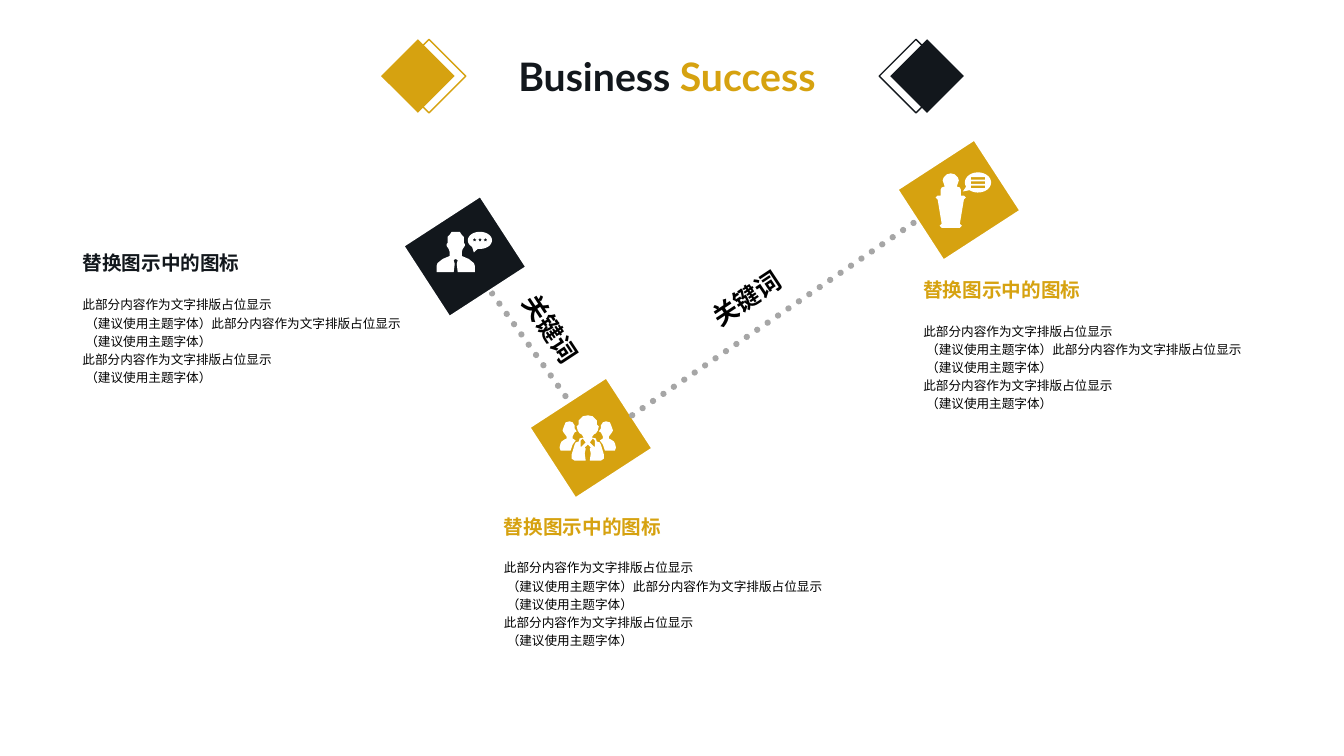
from math import cos, radians, sin

from lxml import etree
from pptx import Presentation
from pptx.dml.color import RGBColor
from pptx.enum import dml, shapes, text
from pptx.oxml.ns import qn
from pptx.util import Inches, Pt

# Theme
THEME = {
    "dark": "12171C", "gold": "D6A210", "dots": "A6A6A6", "white": "FFFFFF", "black": "000000",
    "latin": "Lato", "cjk": "Noto Sans CJK SC",
    "title": 28, "label": 18, "heading": 14, "body": 9,
}

# Content
TITLE = [("Business ", "dark"), ("Success", "gold")]
HEADING = "替换图示中的图标"
BODY = [
    ["此部分内容作为文字排版占位显示",
     " （建议使用主题字体）此部分内容作为文字排版占位显示",
     " （建议使用主题字体）"],
    ["此部分内容作为文字排版占位显示", " （建议使用主题字体）"],
]
KEYWORD = "关键词"
# link: (x1, y1, x2, y2), drawn beneath its node; label: (left, top, rotation)
NODES = [
    {"icon": "adviser", "color": "dark", "square": (4.19, 2.09), "text": (0.72, 2.35),
     "link": (4.88, 2.91, 5.63, 3.96), "label": (4.96, 2.99, 56.6)},
    {"icon": "team", "color": "gold", "square": (5.44, 3.89), "text": (4.9, 4.96)},
    {"icon": "speaker", "color": "gold", "square": (9.09, 1.53), "text": (9.06, 2.61),
     "link": (6.27, 4.12, 9.18, 2.13), "label": (6.9, 2.69, 326.5)},
]
# (filled left, outlined left, colour)
TITLE_DIAMONDS = [(3.78, 3.89, "gold"), (8.83, 8.72, "dark")]


# Icon outlines, in hundredths of an inch
def mirror(points, axis):
    return [(2 * axis - x, y) for x, y in reversed(points)]


def symmetric(half, axis):
    return half + mirror(half, axis)


def arc(cx, cy, rx, ry, start, sweep, steps=36):
    angles = [radians(start + sweep * i / steps) for i in range(steps + 1)]
    return [(cx + rx * cos(a), cy + ry * sin(a)) for a in angles]


def star(cx, cy):
    angles = [radians(36 * i - 90) for i in range(10)]
    return [(cx + (2.2, 1)[i % 2] * cos(a), cy + (2.2, 1)[i % 2] * sin(a))
            for i, a in enumerate(angles)]


def bar(left, top, width, height):
    return [(left, top), (left + width, top),
            (left + width, top + height), (left, top + height)]


ADVISER = [(452, 230), (456, 230), (458, 233), (460, 235), (460, 241), (461, 242), (461, 244),
           (459, 247), (458, 250), (458, 254), (465, 257), (470, 261), (471, 264), (471, 270),
           (454, 270), (453, 262), (454, 258), (452, 257)]
LEADER = [(583, 412), (588, 413), (592, 417), (592, 421), (594, 423), (593, 427), (591, 430),
          (589, 431), (587, 434), (591, 435), (592, 438), (595, 439), (596, 441), (599, 451),
          (599, 455), (596, 457), (585, 457), (586, 450), (585, 445), (586, 444), (583, 441)]
COLLAR = [(588, 435), (585, 439), (589, 443), (590, 443), (590, 437)]
MEMBER = [(601, 418), (605, 419), (607, 424), (608, 427), (607, 429), (604, 433), (604, 435),
          (606, 436), (609, 438), (610, 440), (611, 444), (610, 447), (600, 447), (598, 441),
          (595, 437), (598, 435), (598, 433), (596, 429), (594, 428), (596, 425), (596, 422),
          (598, 419)]
SPEAKER = [(943, 172), (947, 173), (950, 176), (951, 179), (949, 185), (952, 186), (953, 188),
           (953, 194), (956, 194), (958, 196), (956, 198), (952, 222), (954, 224), (952, 226),
           (943, 226)]
ICONS = {
    "adviser": [symmetric(ADVISER, 452), arc(476, 238.5, 12, 8.5, 130, 330) + [(470, 250.5)]]
               + [star(470.7 + 5.4 * i, 238) for i in range(3)],
    "team": [symmetric(LEADER, 583), COLLAR, mirror(COLLAR, 583), MEMBER, mirror(MEMBER, 583)],
    "speaker": [symmetric(SPEAKER, 943), arc(970, 181, 13, 10, 155, 335) + [(955, 190)]]
               + [bar(963, 175.8 + 4.2 * i, 14, 2.4) for i in range(3)],
}


# Drawing helpers
def rgb(name):
    return RGBColor.from_string(THEME[name])


def paint(sp, fill=None, line=None, width=1.0):
    sp.shadow.inherit = False
    if fill:
        sp.fill.solid()
        sp.fill.fore_color.rgb = rgb(fill)
    else:
        sp.fill.background()
    if line:
        sp.line.color.rgb = rgb(line)
        sp.line.width = Pt(width)
    else:
        sp.line.fill.background()


def add_shape(s, kind, left, top, width, height):
    return s.shapes.add_shape(kind, Inches(left), Inches(top), Inches(width), Inches(height))


def add_run(p, words, size, color, bold=False, font="cjk"):
    r = p.add_run()
    r.text = words
    r.font.size, r.font.bold = Pt(THEME[size]), bold
    r.font.color.rgb = rgb(color)
    r.font.name = THEME[font]
    etree.SubElement(r._r.get_or_add_rPr(), qn("a:ea"), typeface=THEME[font])


def add_box(s, left, top, width, height, wrap=True, anchor=text.MSO_ANCHOR.MIDDLE):
    sp = s.shapes.add_textbox(Inches(left), Inches(top), Inches(width), Inches(height))
    tf = sp.text_frame
    tf.word_wrap, tf.vertical_anchor = wrap, anchor
    return sp


def add_link(s, ends):
    c = s.shapes.add_connector(shapes.MSO_CONNECTOR.STRAIGHT, *map(Inches, ends))
    c.line.color.rgb = rgb("dots")
    c.line.width = Pt(4.5)
    c.line.dash_style = dml.MSO_LINE.ROUND_DOT
    sp_pr = c.element.spPr
    sp_pr.find(qn("a:ln")).set("cap", "rnd")
    etree.SubElement(sp_pr, qn("a:effectLst"))


def add_icon(s, contours):
    scaled = [[(x * Inches(0.01), y * Inches(0.01)) for x, y in c] for c in contours]
    fb = s.shapes.build_freeform(*scaled[0][0])
    fb.add_line_segments(scaled[0][1:])
    for contour in scaled[1:]:
        fb.move_to(*contour[0])
        fb.add_line_segments(contour[1:])
    paint(fb.convert_to_shape(), "white")


def add_description(s, left, top, color):
    heading = add_box(s, left, top, 3.73, 0.52)
    add_run(heading.text_frame.paragraphs[0], HEADING, "heading", color, bold=True)
    tf = add_box(s, left, top + 0.52, 3.73, 1.24, anchor=text.MSO_ANCHOR.TOP).text_frame
    for i, lines in enumerate(BODY):
        p = tf.add_paragraph() if i else tf.paragraphs[0]
        p.line_spacing = 1.2
        for j, line in enumerate(lines):
            if j:
                p.add_line_break()
            add_run(p, line, "body", "black")


def main():
    prs = Presentation()
    prs.slide_width, prs.slide_height = Inches(13.33), Inches(7.5)
    s = prs.slides.add_slide(prs.slide_layouts[5])

    # Title with its diamonds
    title = s.shapes.title
    title.left, title.top, title.width, title.height = map(Inches, (5.04, 0.47, 3.25, 0.57))
    tf = title.text_frame
    tf.word_wrap, tf.auto_size = True, text.MSO_AUTO_SIZE.NONE
    tf.vertical_anchor = text.MSO_ANCHOR.TOP
    p = tf.paragraphs[0]
    p.alignment = text.PP_ALIGN.LEFT
    for words, color in TITLE:
        add_run(p, words, "title", color, bold=True, font="latin")
    for filled, outlined, color in TITLE_DIAMONDS:
        paint(add_shape(s, shapes.MSO_SHAPE.DIAMOND, filled, 0.39, 0.73, 0.73), color)
        paint(add_shape(s, shapes.MSO_SHAPE.DIAMOND, outlined, 0.39, 0.73, 0.73), line=color)

    # Linked nodes with icons, descriptions and keywords
    for node in NODES:
        if "link" in node:
            add_link(s, node["link"])
        square = add_shape(s, shapes.MSO_SHAPE.RECTANGLE, *node["square"], 0.84, 0.91)
        square.rotation = 57
        paint(square, node["color"], "white", 1.5)
        add_icon(s, ICONS[node["icon"]])
        add_description(s, *node["text"], node["color"])
        if "label" in node:
            left, top, angle = node["label"]
            label = add_box(s, left, top, 1, 0.54, wrap=False)
            label.rotation = angle
            p = label.text_frame.paragraphs[0]
            p.alignment = text.PP_ALIGN.CENTER
            add_run(p, KEYWORD, "label", "black", bold=True)

    prs.save("out.pptx")


if __name__ == "__main__":
    main()
